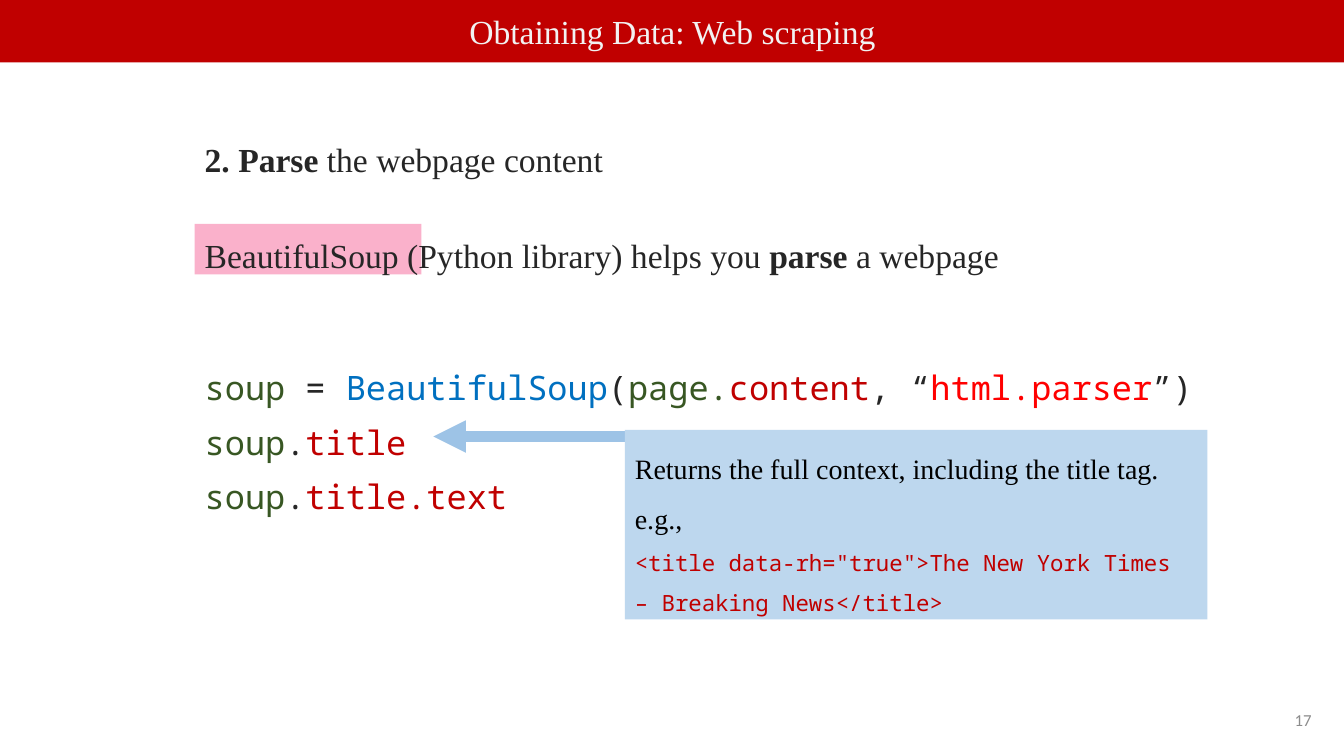
from lxml import etree
from pptx import Presentation
from pptx.enum import shapes, text
from pptx.dml.color import RGBColor
from pptx.oxml import ns
from pptx.util import Pt

# Content
COLORS = {"banner": "C00000", "heading": "F2F2F2", "ink": "262626", "object": "385723",
          "attribute": "C00000", "call": "0070C0", "string": "FF0000", "marker": "F885AD",
          "arrow": "9DC3E6", "callout": "BDD7EE", "black": "000000", "page": "8C8C8C"}
SERIF, MONO, SANS = "Times New Roman", "Noto Sans Mono", "Calibri"
HEADING = "Obtaining Data: Web scraping"
PAGE = "17"

# Each line: font, line spacing, space before, runs of (text, color, bold)
LESSON = [
    (SERIF, 1.5, 0, [("2. Parse", "ink", True), (" the webpage content", "ink", False)]),
    (SERIF, 1.5, 20, [("BeautifulSoup (Python library) helps you ", "ink", False),
                      ("parse", "ink", True), (" a webpage", "ink", False)]),
    (MONO, 1, 61, [("soup", "object", False), (" = ", "ink", False),
                   ("BeautifulSoup", "call", False), ("(", "ink", False),
                   ("page.", "object", False), ("content", "attribute", False),
                   (", “", "ink", False), ("html.parser", "string", False),
                   ("”)", "ink", False)]),
    (MONO, 1, 5, [("soup", "object", False), (".", "ink", False),
                  ("title", "attribute", False)]),
    (MONO, 1, 5, [("soup", "object", False), (".", "ink", False),
                  ("title.text", "attribute", False)]),
]
RESULT = [
    ("Returns the full context, including the title tag. e.g.,", SERIF, 20, "black"),
    ('<title data-rh="true">The New York Times – Breaking News</title>', MONO, 16, "attribute"),
]

# Layout in points
WIDTH, HEIGHT = 960, 540
LEFT = 139
BANNER = (0, 0, WIDTH, 44.64)
HEADING_BOX = (153.4, 4.3, 653.8, 36)
LESSON_BOX = (LEFT, 81.4, 743.8, 294.5)
MARKER = (LEFT, 160, 162, 36)
CALLOUT = (446.4, 307, 416, 135.4)
ARROW = (568, 311.8, 309.6, 311.8)
PAGE_BOX = (904.3, 499.7, 39.6, 28.8)


def rgb(name):
    return RGBColor.from_string(COLORS[name])


def place(shape, box):
    shape.left, shape.top, shape.width, shape.height = map(Pt, box)


def add_run(paragraph, words, font, size, color, bold=False):
    run = paragraph.add_run()
    run.text = words
    run.font.name, run.font.size, run.font.bold = font, Pt(size), bold
    run.font.color.rgb = rgb(color)


def add_block(box, color):
    block = slide.shapes.add_shape(shapes.MSO_SHAPE.RECTANGLE, *map(Pt, box))
    block.shadow.inherit = False
    block.fill.solid()
    block.fill.fore_color.rgb = rgb(color)
    block.line.fill.background()
    return block


def set_frame(frame, anchor):
    frame.word_wrap = True
    frame.auto_size = text.MSO_AUTO_SIZE.NONE
    frame.vertical_anchor = anchor


def next_paragraph(frame, index):
    return frame.add_paragraph() if index else frame.paragraphs[0]


prs = Presentation()
prs.slide_width, prs.slide_height = Pt(WIDTH), Pt(HEIGHT)
slide = prs.slides.add_slide(prs.slide_layouts[1])
heading, lesson = slide.placeholders
tree = slide.shapes._spTree

# Banner and heading
add_block(BANNER, "banner")
place(heading, HEADING_BOX)
set_frame(heading.text_frame, text.MSO_ANCHOR.TOP)
heading_line = heading.text_frame.paragraphs[0]
heading_line.alignment = text.PP_ALIGN.CENTER
add_run(heading_line, HEADING, SERIF, 24, "heading")
tree.append(heading._element)

# Translucent marker behind the library name
marker = add_block(MARKER, "marker")
tint = marker._element.spPr.find(".//" + ns.qn("a:srgbClr"))
etree.SubElement(tint, ns.qn("a:alpha"), val="63000")

# Arrow from the callout to the code line
x1, y1, x2, y2 = map(Pt, ARROW)
arrow = slide.shapes.add_connector(shapes.MSO_CONNECTOR.STRAIGHT, x1, y1, x2, y2)
arrow.line.color.rgb = rgb("arrow")
arrow.line.width = Pt(7.75)
etree.SubElement(arrow.line._get_or_add_ln(), ns.qn("a:tailEnd"), type="triangle")
etree.SubElement(arrow._element.spPr, ns.qn("a:effectLst"))

# Callout with the returned value
callout = add_block(CALLOUT, "callout")
set_frame(callout.text_frame, text.MSO_ANCHOR.TOP)
for i, (words, font, size, color) in enumerate(RESULT):
    result_line = next_paragraph(callout.text_frame, i)
    result_line.alignment = text.PP_ALIGN.LEFT
    result_line.line_spacing = 1.5
    add_run(result_line, words, font, size, color)

# Lesson text and code
place(lesson, LESSON_BOX)
set_frame(lesson.text_frame, text.MSO_ANCHOR.TOP)
for i, (font, spacing, before, runs) in enumerate(LESSON):
    lesson_line = next_paragraph(lesson.text_frame, i)
    props = lesson_line._p.get_or_add_pPr()
    props.set("marL", "0")
    props.set("indent", "0")
    etree.SubElement(props, ns.qn("a:buNone"))
    lesson_line.line_spacing = spacing
    lesson_line.space_before, lesson_line.space_after = Pt(before), Pt(5)
    for words, color, bold in runs:
        add_run(lesson_line, words, font, 24, color, bold)
tree.append(lesson._element)

# Page number
page = slide.shapes.add_textbox(*map(Pt, PAGE_BOX))
set_frame(page.text_frame, text.MSO_ANCHOR.MIDDLE)
page_line = page.text_frame.paragraphs[0]
page_line.alignment = text.PP_ALIGN.RIGHT
add_run(page_line, PAGE, SANS, 12, "page")

prs.save("out.pptx")
